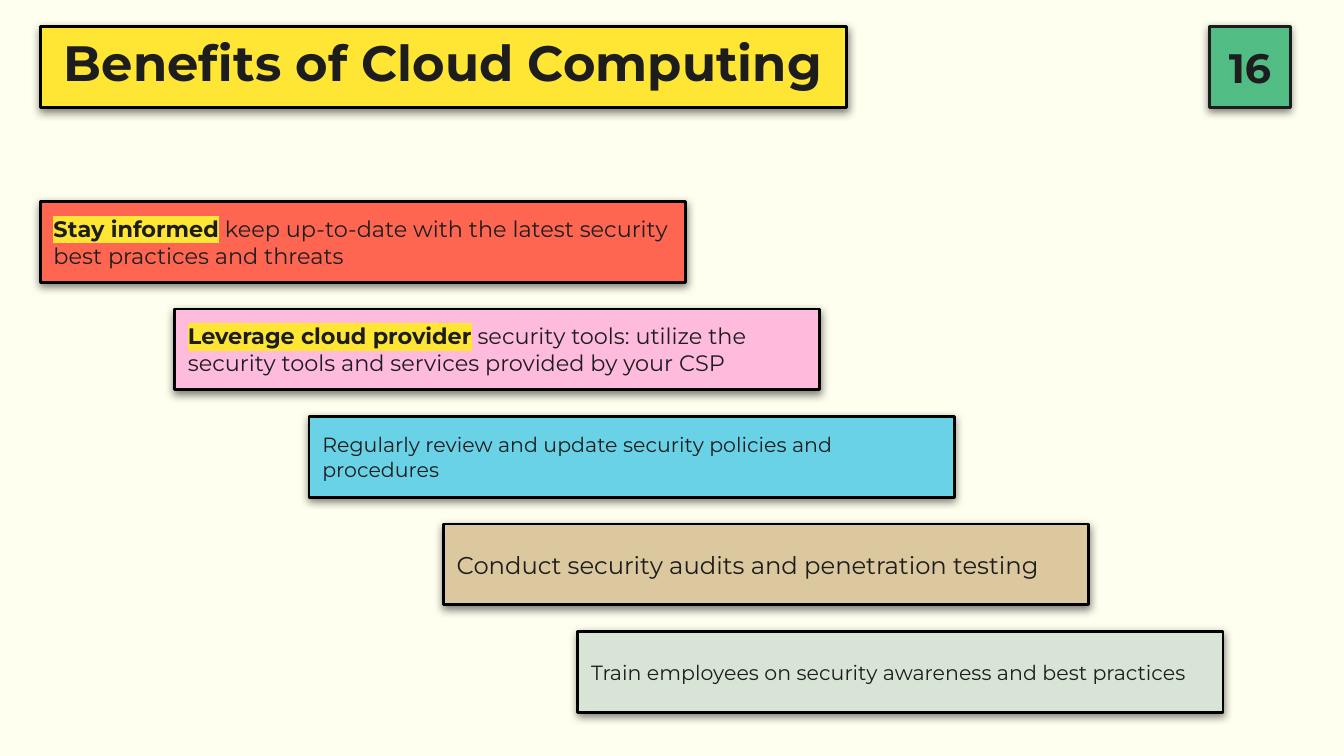
from lxml.etree import SubElement
from pptx import Presentation
from pptx.dml.color import RGBColor
from pptx.enum.shapes import MSO_SHAPE
from pptx.enum.text import MSO_ANCHOR, MSO_AUTO_SIZE, PP_ALIGN
from pptx.oxml import parse_xml
from pptx.oxml.ns import qn
from pptx.util import Emu, Pt

PX = 4572  # 200 px to the inch
SLIDE_WIDTH, SLIDE_HEIGHT = 2000, 1125
FONT = "Montserrat"
INK, BLACK, YELLOW = "1D1D1D", "000000", "FFE534"
BACKGROUND, GREEN = "FFFFF0", "51BD85"

TITLE = "Benefits of Cloud Computing"
PAGE_NUMBER = "16"

# highlighted lead, remaining text, fill, text size
STEPS = [
    ("Stay informed", " keep up-to-date with the latest security best practices and threats",
     "FF6652", 12),
    ("Leverage cloud provider",
     " security tools: utilize the security tools and services provided by your CSP",
     "FFBBDC", 12),
    ("", "Regularly review and update security policies and procedures", "6AD2E6", 11),
    ("", "Conduct security audits and penetration testing", "DBC89F", 13),
    ("", "Train employees on security awareness and best practices", "D8E4D6", 11),
]

MARGIN, TOP, BOX_HEIGHT, INSET = 60, 40, 120, 20
TITLE_WIDTH = 1200
BADGE_LEFT = 1800
STEP_TOP, STEP_WIDTH = 300, 960
STEP_RIGHT, STEP_DOWN = 200, 160

A = "http://schemas.openxmlformats.org/drawingml/2006/main"


def px(length):
    return Emu(length * PX)


def color(value):
    return RGBColor.from_string(value)


def add_shadow(shape):
    """Drop a soft black shadow straight down."""
    shape.shadow.inherit = False
    effects = shape._element.spPr.find(qn("a:effectLst"))
    shadow = SubElement(effects, qn("a:outerShdw"), blurRad=str(Pt(4.5)), dist=str(Pt(1.5)),
                        dir="5400000", algn="bl", rotWithShape="0")
    shade = SubElement(shadow, qn("a:srgbClr"), val=BLACK)
    SubElement(shade, qn("a:alpha"), val="50000")


def style_box(shape, left, top, width, fill, line=BLACK):
    shape.left, shape.top, shape.width, shape.height = map(px, (left, top, width, BOX_HEIGHT))
    shape.fill.solid()
    shape.fill.fore_color.rgb = color(fill)
    shape.line.color.rgb = color(line)
    shape.line.width = Pt(1.5)
    add_shadow(shape)
    frame = shape.text_frame
    frame.word_wrap = True
    frame.auto_size = MSO_AUTO_SIZE.NONE
    frame.vertical_anchor = MSO_ANCHOR.MIDDLE
    frame.margin_left = frame.margin_right = frame.margin_top = frame.margin_bottom = px(INSET)


def add_text(shape, text, size, bold=False, align=PP_ALIGN.LEFT, spacing=None, highlight=None):
    paragraph = shape.text_frame.paragraphs[0]
    paragraph.alignment = align
    if spacing:
        paragraph.line_spacing = spacing
    run = paragraph.add_run()
    run.text = text
    run.font.size = Pt(size)
    run.font.bold = bold
    run.font.color.rgb = color(INK)
    run.font.name = FONT
    if highlight:
        fill = run._r.get_or_add_rPr().find(qn("a:solidFill"))
        fill.addnext(parse_xml(
            f'<a:highlight xmlns:a="{A}"><a:srgbClr val="{highlight}"/></a:highlight>'))


def add_box(slide, left, top, width, fill, line=BLACK):
    shape = slide.shapes.add_shape(MSO_SHAPE.RECTANGLE, 0, 0, 0, 0)
    style_box(shape, left, top, width, fill, line)
    return shape


def main():
    presentation = Presentation()
    presentation.slide_width, presentation.slide_height = px(SLIDE_WIDTH), px(SLIDE_HEIGHT)
    slide = presentation.slides.add_slide(presentation.slide_layouts[5])
    slide.background.fill.solid()
    slide.background.fill.fore_color.rgb = color(BACKGROUND)

    title = slide.shapes.title
    style_box(title, MARGIN, TOP, TITLE_WIDTH, YELLOW)
    add_text(title, TITLE, 26.6, bold=True, align=PP_ALIGN.CENTER, spacing=0.8)

    badge = add_box(slide, BADGE_LEFT, TOP, BOX_HEIGHT, GREEN, line=INK)
    add_text(badge, PAGE_NUMBER, 22, bold=True, align=PP_ALIGN.CENTER)

    for index, (lead, text, fill, size) in enumerate(STEPS):
        step = add_box(slide, MARGIN + index * STEP_RIGHT, STEP_TOP + index * STEP_DOWN,
                       STEP_WIDTH, fill)
        if lead:
            add_text(step, lead, size, bold=True, highlight=YELLOW)
        add_text(step, text, size)

    presentation.save("out.pptx")


if __name__ == "__main__":
    main()
